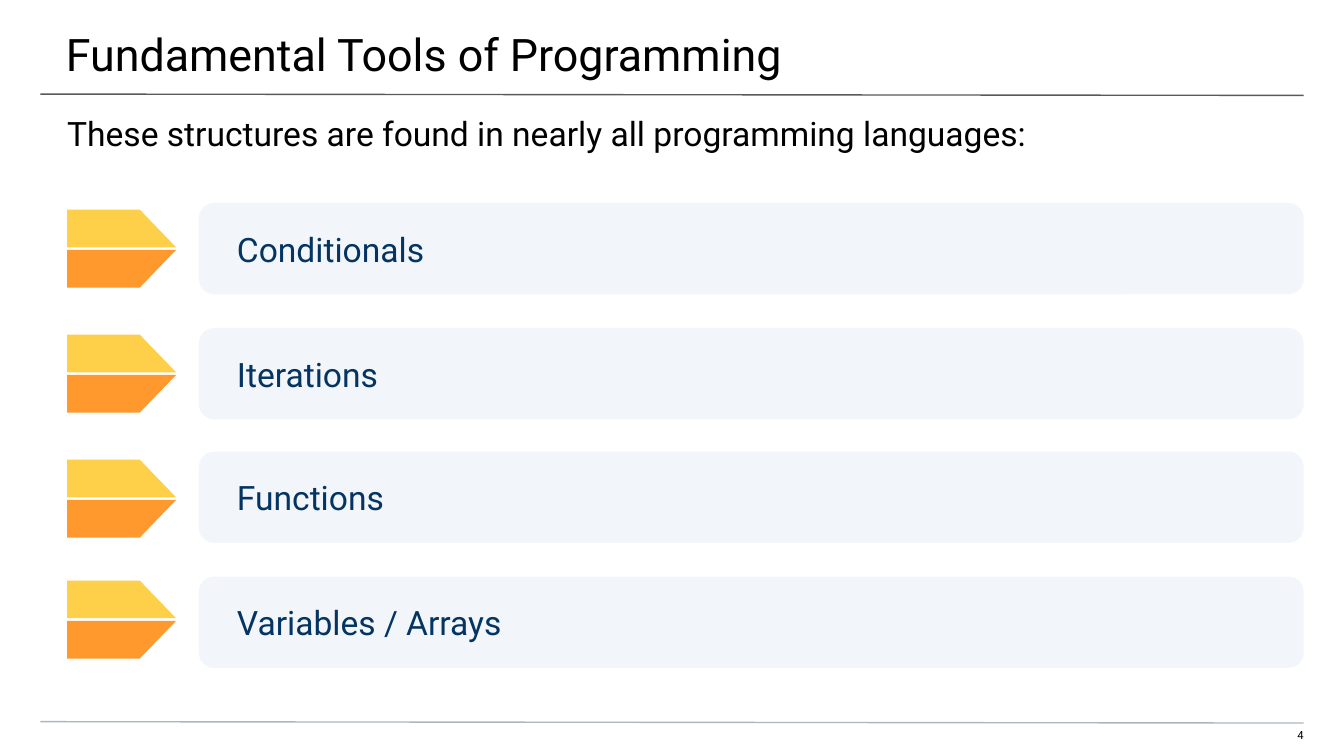
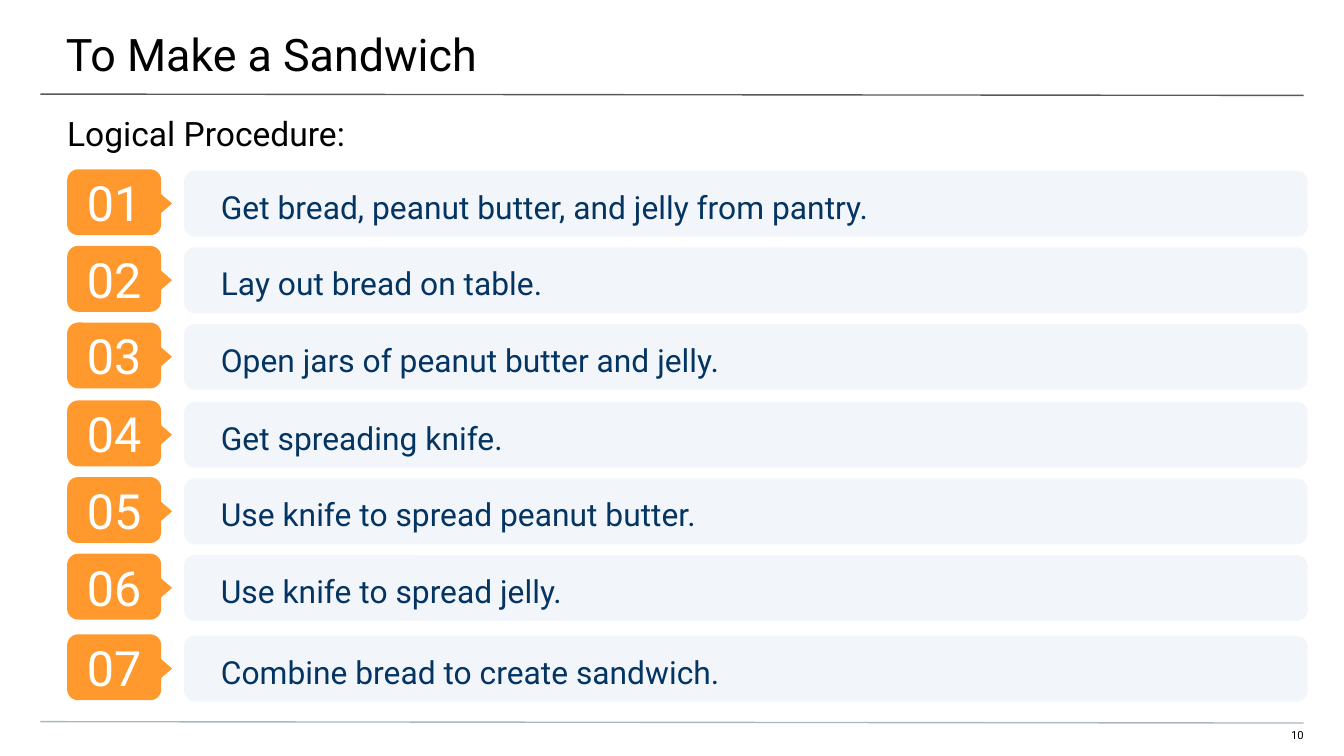
from dataclasses import dataclass

import lxml.etree
import pptx
import pptx.dml.color
import pptx.enum.shapes
import pptx.enum.text
import pptx.oxml.ns
import pptx.presentation
import pptx.shapes.base
import pptx.shapes.shapetree
import pptx.slide
import pptx.text.text
import pptx.util

PIXEL = 9144  # one hundredth of an inch in EMU
PAGE_WIDTH = 1000
FONT = "Roboto"
COLORS = {
    "text": "000000",
    "navy": "043461",
    "white": "FFFFFF",
    "bar": "F2F5F9",
    "yellow": "FECF48",
    "orange": "FF992D",
    "title_rule": "595959",
    "footer_rule": "A9B7C0",
}
SHAPE = pptx.enum.shapes.MSO_SHAPE
ALIGN = pptx.enum.text.PP_ALIGN
ANCHOR = pptx.enum.text.MSO_ANCHOR


@dataclass(frozen=True)
class Box:
    left: int
    top: int
    width: int
    height: int

    def emu(self) -> tuple[int, int, int, int]:
        return (self.left * PIXEL, self.top * PIXEL,
                self.width * PIXEL, self.height * PIXEL)


@dataclass(frozen=True)
class TextStyle:
    size: int
    color: str = "text"
    align: ALIGN = ALIGN.LEFT
    anchor: ANCHOR = ANCHOR.TOP
    insets: tuple[int, int, int, int] = (10, 10, 10, 10)  # left, top, right, bottom
    line_spacing: float = 1.0


@dataclass(frozen=True)
class Rule:
    top: int
    color: str


RULES = (Rule(70, "title_rule"), Rule(537, "footer_rule"))
TITLE_STYLE = TextStyle(24, insets=(50, 20, 30, 10))
SUBTITLE_STYLE = TextStyle(18, insets=(50, 10, 50, 0))
NUMBER_STYLE = TextStyle(6, align=ALIGN.RIGHT, insets=(0, 0, 0, 10))
TOPIC_STYLE = TextStyle(18, "navy", anchor=ANCHOR.MIDDLE, insets=(25, 10, 10, 10))
STEP_STYLE = TextStyle(17, "navy", anchor=ANCHOR.MIDDLE, insets=(25, 10, 10, 10),
                       line_spacing=1.15)
BADGE_STYLE = TextStyle(26, "white", ALIGN.CENTER, ANCHOR.MIDDLE)

TOPICS = ("Conditionals", "Iterations", "Functions", "Variables / Arrays")
STEPS = (
    "Get bread, peanut butter, and jelly from pantry.",
    "Lay out bread on table.",
    "Open jars of peanut butter and jelly.",
    "Get spreading knife.",
    "Use knife to spread peanut butter.",
    "Use knife to spread jelly.",
    "Combine bread to create sandwich.",
)


def rgb(name: str) -> pptx.dml.color.RGBColor:
    return pptx.dml.color.RGBColor.from_string(COLORS[name])


def write(frame: pptx.text.text.TextFrame, text: str, style: TextStyle) -> None:
    frame.text = text
    frame.word_wrap = True
    frame.auto_size = pptx.enum.text.MSO_AUTO_SIZE.NONE
    frame.vertical_anchor = style.anchor
    (frame.margin_left, frame.margin_top,
     frame.margin_right, frame.margin_bottom) = (inset * PIXEL for inset in style.insets)
    para = frame.paragraphs[0]
    para.alignment = style.align
    para.line_spacing = style.line_spacing
    for span in para.runs:
        span.font.name = FONT
        span.font.size = pptx.util.Pt(style.size)
        span.font.color.rgb = rgb(style.color)


def paint(shape: pptx.shapes.base.BaseShape, color: str) -> None:
    shape.shadow.inherit = False
    shape.fill.solid()
    shape.fill.fore_color.rgb = rgb(color)
    shape.line.fill.background()


def add_text(page: pptx.slide.Slide, box: Box, text: str, style: TextStyle) -> None:
    write(page.shapes.add_textbox(*box.emu()).text_frame, text, style)


def add_panel(shapes: pptx.shapes.shapetree.SlideShapes | pptx.shapes.shapetree.GroupShapes,
              box: Box, color: str, text: str, style: TextStyle) -> None:
    panel = shapes.add_shape(SHAPE.ROUNDED_RECTANGLE, *box.emu())
    panel.adjustments[0] = 0.167
    paint(panel, color)
    write(panel.text_frame, text, style)


def add_rule(page: pptx.slide.Slide, rule: Rule) -> None:
    line = page.shapes.add_connector(
        pptx.enum.shapes.MSO_CONNECTOR.STRAIGHT,
        30 * PIXEL, rule.top * PIXEL, 970 * PIXEL, (rule.top + 1) * PIXEL)
    line.line.color.rgb = rgb(rule.color)
    line.line.width = pptx.util.Pt(0.75)
    lxml.etree.SubElement(line._element.spPr, pptx.oxml.ns.qn("a:effectLst"))


def add_page(deck: pptx.presentation.Presentation, title: str, subtitle: str,
             number: int) -> pptx.slide.Slide:
    page = deck.slides.add_slide(deck.slide_layouts.get_by_name("Title Only"))
    # Footer number and rules
    add_text(page, Box(941, 542, 29, 12), str(number), NUMBER_STYLE)
    for rule in RULES:
        add_rule(page, rule)
    # Title and subtitle
    heading = page.shapes.title
    heading.left, heading.top, heading.width, heading.height = Box(-1, 0, 1003, 58).emu()
    write(heading.text_frame, title, TITLE_STYLE)
    add_text(page, Box(0, 74, PAGE_WIDTH, 40), subtitle, SUBTITLE_STYLE)
    return page


def add_half_arrow(page: pptx.slide.Slide, middle: int, edge: int, color: str) -> None:
    """Draw one half of an arrow, between its middle line and its outer edge."""
    outline = page.shapes.build_freeform(50, edge, scale=PIXEL)
    outline.add_line_segments([(50, middle), (131, middle), (104, edge)], close=True)
    paint(outline.convert_to_shape(), color)


def add_topic(page: pptx.slide.Slide, bar_top: int, arrow_top: int, text: str) -> None:
    add_half_arrow(page, arrow_top + 28, arrow_top, "yellow")
    add_half_arrow(page, arrow_top + 30, arrow_top + 58, "orange")
    add_panel(page.shapes, Box(148, bar_top, 822, 68), "bar", text, TOPIC_STYLE)


def add_step(page: pptx.slide.Slide, top: int, number: int, text: str) -> None:
    add_panel(page.shapes, Box(137, top, 836, 49), "bar", text, STEP_STYLE)
    badge = page.shapes.add_group_shape()
    add_panel(badge.shapes, Box(50, top - 1, 70, 49), "orange", f"{number:02d}", BADGE_STYLE)
    pointer = badge.shapes.add_shape(SHAPE.FLOWCHART_EXTRACT,
                                     *Box(102, top + 15, 33, 19).emu())
    pointer.rotation = 90
    paint(pointer, "orange")


def main() -> None:
    deck = pptx.Presentation()
    deck.slide_width = PAGE_WIDTH * PIXEL
    deck.slide_height = deck.slide_width * 9 // 16

    # Programming structures; the last arrow sits slightly higher
    page = add_page(deck, "Fundamental Tools of Programming",
                    "These structures are found in nearly all programming languages:", 4)
    for index, topic in enumerate(TOPICS):
        lift = 3 if topic == TOPICS[-1] else 0
        add_topic(page, round(151 + 92.7 * index), 156 + 93 * index - lift, topic)

    # Numbered procedure; the last step stands slightly apart
    page = add_page(deck, "To Make a Sandwich", "Logical Procedure:", 10)
    for index, step in enumerate(STEPS):
        gap = 3 if step == STEPS[-1] else 0
        add_step(page, round(127 + 57.2 * index) + gap, index + 1, step)

    deck.save("out.pptx")


if __name__ == "__main__":
    main()
